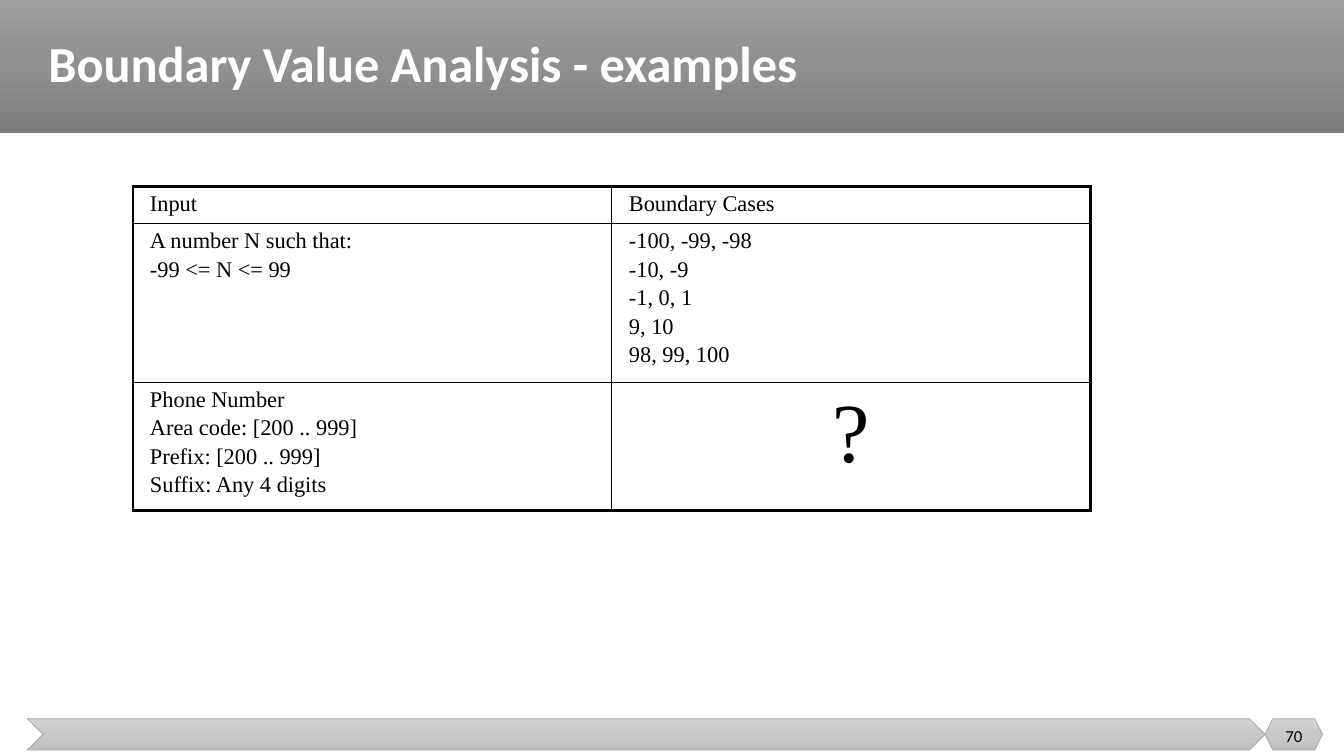
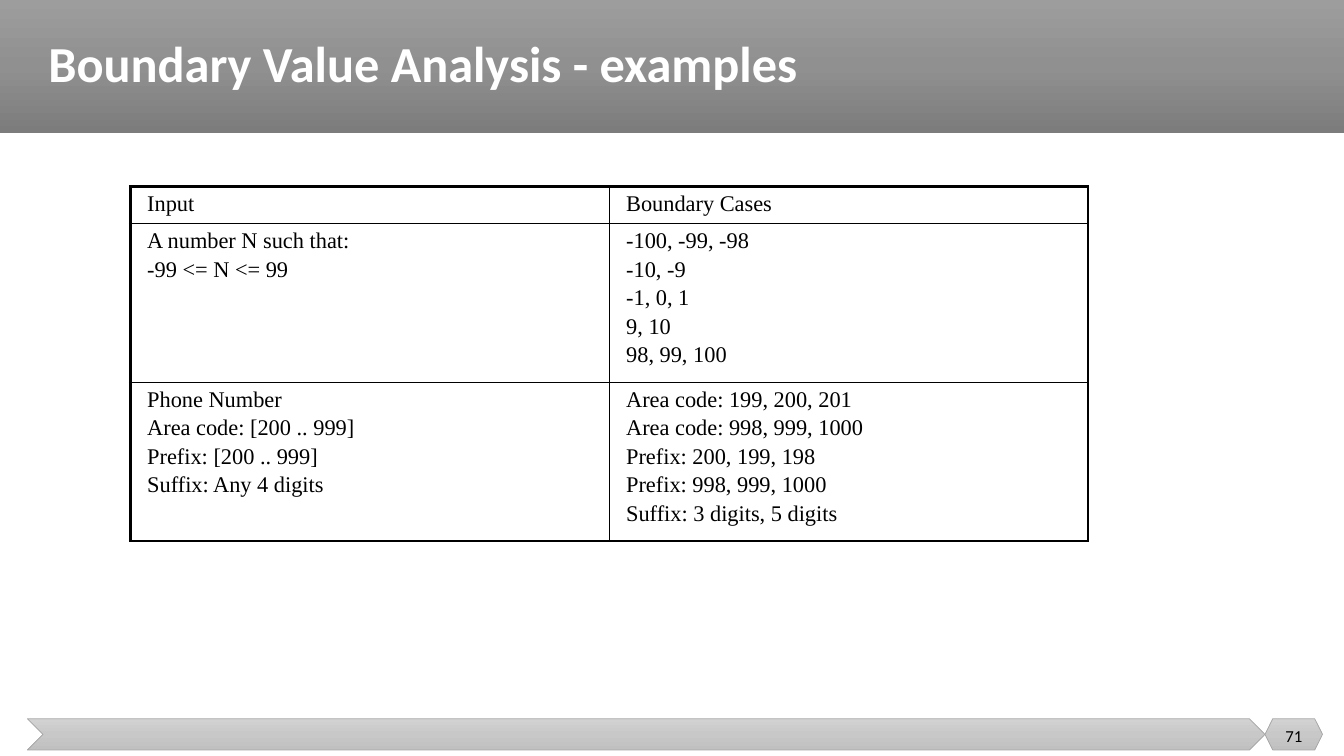
"""Build two slides on boundary value analysis examples."""
from copy import deepcopy

from lxml import etree
from pptx import Presentation
from pptx import util as u
from pptx.dml.color import RGBColor
from pptx.enum import shapes, text
from pptx.oxml.ns import qn

TITLE = "Boundary Value Analysis - examples"
HEADINGS = (["Input"], ["Boundary Cases"])
NUMBER = (
    ["A number N such that:", "-99 <= N <= 99"],
    ["-100, -99, -98", "-10, -9", "-1, 0, 1", "9, 10", "98, 99, 100"],
)
PHONE = ["Phone Number", "Area code: [200 .. 999]", "Prefix: [200 .. 999]", "Suffix: Any 4 digits"]
PHONE_CASES = [
    "Area code: 199, 200, 201",
    "Area code: 998, 999, 1000",
    "Prefix: 200, 199, 198",
    "Prefix: 998, 999, 1000",
    "Suffix: 3 digits, 5 digits",
]
SLIDES = [
    {"number": "70", "left": 3.35, "answer": ["?"], "heights": (0.88, 3.83, 3.12)},
    {"number": "71", "left": 3.28, "answer": PHONE_CASES, "heights": (0.88, 3.83, 3.83)},
]

WHITE = RGBColor(0xFF, 0xFF, 0xFF)
BLACK = RGBColor(0, 0, 0)
EDGE = RGBColor(0xA5, 0xA5, 0xA5)
HEADER_GREYS = [RGBColor(v, v, v) for v in (0x9D, 0x90, 0x7C)]
FOOTER_GREYS = [RGBColor(v, v, v) for v in (0xD2, 0xC8, 0xC0)]
HEADING_FONT, TABLE_FONT = "Calibri", "Times New Roman"

WIDTH, HEIGHT = 33.87, 19.05
BAND_HEIGHT = 3.35
FOOTER_TOP, FOOTER_HEIGHT = 18.11, 0.79
ARROW_LEFT, BADGE_LEFT, BADGE_WIDTH = 0.69, 31.88, 1.45
TABLE_TOP, COLUMN_WIDTH = 4.7, 12.07
THICK, THIN = 2.25, 1


def box(*lengths):
    return [u.Cm(length) for length in lengths]


def add_run(paragraph, words, font, size, color, bold=False):
    run = paragraph.add_run()
    run.text = words
    run.font.name, run.font.size, run.font.bold = font, u.Pt(size), bold
    run.font.color.rgb = color


def add_band(slide, preset, place, greys, edge=None):
    band = slide.shapes.add_shape(preset, *box(*place))
    band.shadow.inherit = False
    band.fill.gradient()
    band.fill.gradient_angle = 270
    stops = band._element.spPr.find(qn("a:gradFill")).find(qn("a:gsLst"))
    stops.insert(1, deepcopy(stops[0]))
    for stop, grey, position in zip(band.fill.gradient_stops, greys, (0, 0.5, 1)):
        stop.color.rgb, stop.position = grey, position
    if edge is None:
        band.line.fill.background()
    else:
        band.line.color.rgb, band.line.width = edge, u.Pt(0.5)


def add_label(slide, place, words, size, color, align, bold=False):
    frame = slide.shapes.add_textbox(*box(*place)).text_frame
    frame.word_wrap = True
    frame.vertical_anchor = text.MSO_ANCHOR.MIDDLE
    paragraph = frame.paragraphs[0]
    paragraph.alignment = align
    paragraph.line_spacing = 0.9 if bold else 1
    add_run(paragraph, words, HEADING_FONT, size, color, bold)


def add_frame(slide, number):
    presets = shapes.MSO_SHAPE
    add_band(slide, presets.RECTANGLE, (0, 0, WIDTH, BAND_HEIGHT), HEADER_GREYS)
    for preset, left, width in (
        (presets.CHEVRON, ARROW_LEFT, BADGE_LEFT - ARROW_LEFT),
        (presets.HEXAGON, BADGE_LEFT, BADGE_WIDTH),
    ):
        add_band(slide, preset, (left, FOOTER_TOP, width, FOOTER_HEIGHT), FOOTER_GREYS, EDGE)
    add_label(slide, (0.97, 0, 32.36, BAND_HEIGHT), TITLE, 36, WHITE, text.PP_ALIGN.LEFT, True)
    add_label(slide, (BADGE_LEFT, 18.03, BADGE_WIDTH, 1.02), number, 12, BLACK, text.PP_ALIGN.CENTER)


def set_borders(cell, widths):
    properties = cell._tc.get_or_add_tcPr()
    for index, (side, width) in enumerate(zip("LRTB", widths)):
        line = etree.Element(qn(f"a:ln{side}"), w=str(u.Pt(width)))
        fill = etree.SubElement(line, qn("a:solidFill"))
        etree.SubElement(fill, qn("a:srgbClr"), val=str(BLACK))
        properties.insert(index, line)


def fill_cell(cell, lines):
    cell.fill.background()
    cell.margin_left = cell.margin_right = u.Cm(0.43)
    cell.margin_top = cell.margin_bottom = u.Cm(0.13)
    pending = lines == ["?"]
    for index, words in enumerate(lines):
        frame = cell.text_frame
        paragraph = frame.add_paragraph() if index else frame.paragraphs[0]
        if index:
            paragraph.space_before = u.Pt(2.5)
        if pending:
            paragraph.alignment = text.PP_ALIGN.CENTER
        add_run(paragraph, words, TABLE_FONT, 60 if pending else 16, BLACK)


def add_cases(slide, left, heights, answer):
    rows = [HEADINGS, NUMBER, (PHONE, answer)]
    last_row, last_column = len(rows) - 1, len(HEADINGS) - 1
    place = box(left, TABLE_TOP, COLUMN_WIDTH * len(HEADINGS), sum(heights))
    table = slide.shapes.add_table(len(rows), len(HEADINGS), *place).table
    table.first_row = table.horz_banding = False
    for column in table.columns:
        column.width = u.Cm(COLUMN_WIDTH)
    for r, (row, height) in enumerate(zip(rows, heights)):
        table.rows[r].height = u.Cm(height)
        for c, lines in enumerate(row):
            cell = table.cell(r, c)
            fill_cell(cell, lines)
            outer = (c == 0, c == last_column, r == 0, r == last_row)
            set_borders(cell, [THICK if edge else THIN for edge in outer])


def main():
    deck = Presentation()
    deck.slide_width, deck.slide_height = box(WIDTH, HEIGHT)
    for content in SLIDES:
        slide = deck.slides.add_slide(deck.slide_layouts[6])
        add_frame(slide, content["number"])
        add_cases(slide, content["left"], content["heights"], content["answer"])
    deck.save("out.pptx")


if __name__ == "__main__":
    main()
